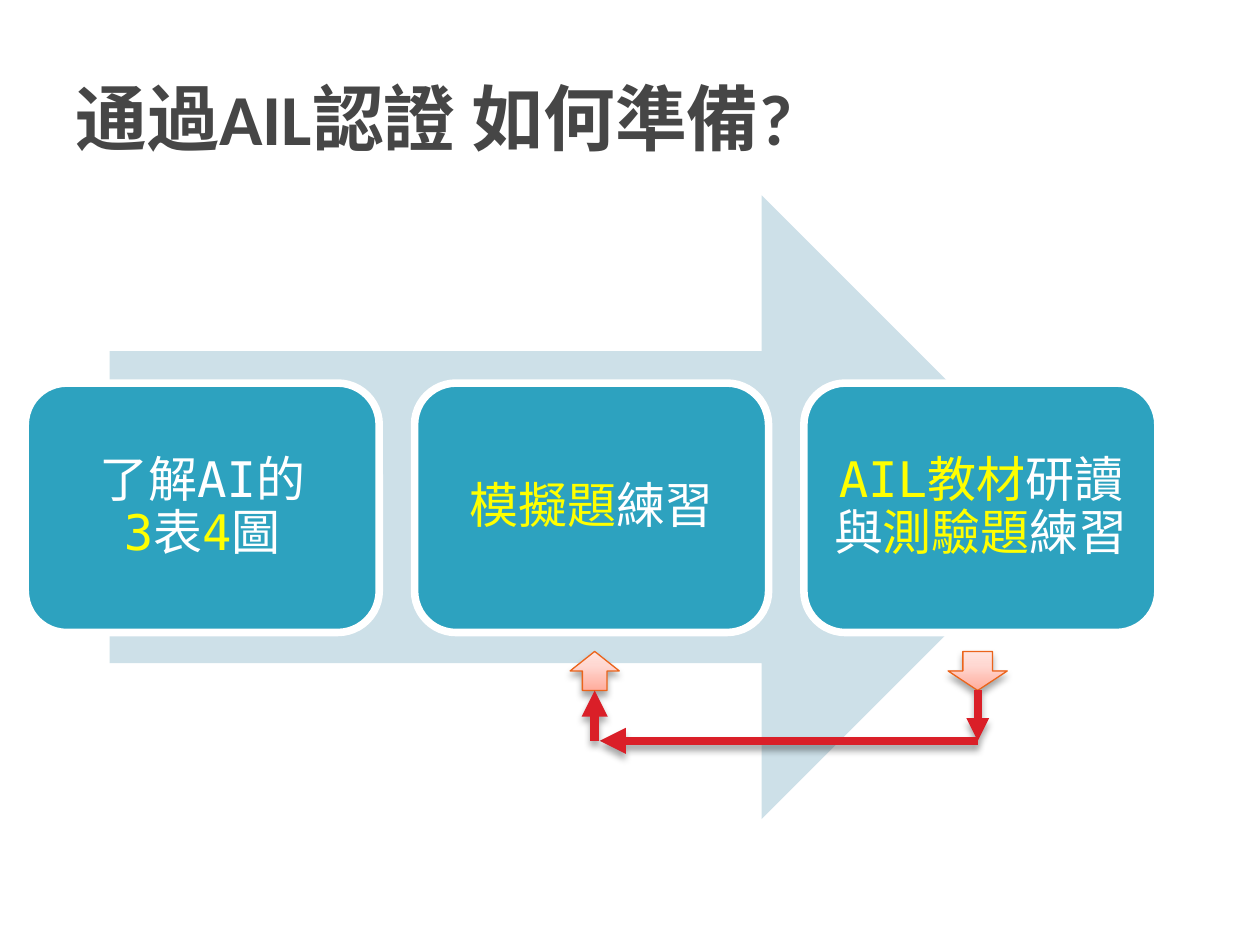
import pptx
import pptx.dml.color
import pptx.enum.shapes
import pptx.enum.text
import pptx.oxml
import pptx.oxml.ns
import pptx.util

Inches, Pt = pptx.util.Inches, pptx.util.Pt
RGB = pptx.dml.color.RGBColor
KIND = pptx.enum.shapes.MSO_SHAPE
ALIGN = pptx.enum.text.PP_ALIGN
MIDDLE = pptx.enum.text.MSO_ANCHOR.MIDDLE

WHITE = RGB(0xFF, 0xFF, 0xFF)
YELLOW = RGB(0xFF, 0xFF, 0x00)
TEAL = RGB(0x2D, 0xA2, 0xBF)
PALE = RGB(0xCD, 0xE0, 0xE8)
GRAY = RGB(0x46, 0x46, 0x46)
ORANGE = RGB(0xEB, 0x64, 0x1B)
RED = RGB(0xDA, 0x1F, 0x28)
PINKS = [(0, RGB(0xFF, 0xAC, 0x9C)), (65, RGB(0xFF, 0xD8, 0xD2)),
         (100, RGB(0xFF, 0xE4, 0xDF))]

TITLE = "通過AIL認證 如何準備?"
BREAK = None
STEPS = [
    [("了解AI的", WHITE), BREAK, ("3", YELLOW), ("表", WHITE),
     ("4", YELLOW), ("圖", WHITE)],
    [("模擬題", YELLOW), ("練習", WHITE)],
    [("AIL教材", YELLOW), ("研讀與", WHITE), ("測驗題", YELLOW),
     ("練習", WHITE)],
]
LEFT, TOP, WIDE, HIGH, PITCH = 0.2, 3.04, 2.81, 1.98, 3.09

# Feedback loop: from the last step back to the middle one
START, END = 7.76, 4.72
TIP, JOIN, BASE = 5.17, 5.48, 5.88
HEADS = [(KIND.DOWN_ARROW, START, 0.47), (KIND.UP_ARROW, END, 0.39)]
LINES = [
    ((START, JOIN), (START, BASE), 4.33),
    ((START, BASE), (END + 0.04, BASE), 5),
    ((END, BASE), (END, JOIN), 5),
]

NS = pptx.oxml.ns.nsdecls("a")
SHADOW = (f'<a:effectLst {NS}><a:outerShdw blurRad="{Pt(4)}" dist="{Pt(3)}" '
          'dir="5400000" rotWithShape="0"><a:srgbClr val="000000">'
          '<a:alpha val="35000"/></a:srgbClr></a:outerShdw></a:effectLst>')
STOPS = "".join(f'<a:gs pos="{pos * 1000}"><a:srgbClr val="{color}"/></a:gs>'
                for pos, color in PINKS)
BLEND = (f'<a:gradFill {NS} rotWithShape="1"><a:gsLst>{STOPS}</a:gsLst>'
         '<a:lin ang="16200000" scaled="0"/></a:gradFill>')


def add_run(para, text, font, size, color, bold=False):
    run = para.add_run()
    run.text = text
    run.font.name, run.font.size, run.font.bold = font, Pt(size), bold
    run.font.color.rgb = color


def add_shape(slide, kind, box, fill, line=None, width=0):
    shape = slide.shapes.add_shape(kind, *map(Inches, box))
    shape.shadow.inherit = False
    shape.fill.solid()
    shape.fill.fore_color.rgb = fill
    if line is None:
        shape.line.fill.background()
    else:
        shape.line.color.rgb = line
        shape.line.width = Pt(width)
    return shape


def add_step(slide, index, parts):
    box = (LEFT + index * PITCH, TOP, WIDE, HIGH)
    shape = add_shape(slide, KIND.ROUNDED_RECTANGLE, box, TEAL, WHITE, 4.33)
    frame = shape.text_frame
    frame.word_wrap, frame.vertical_anchor = True, MIDDLE
    frame.margin_left = frame.margin_right = Inches(0.12)
    frame.margin_top = frame.margin_bottom = Inches(0.12)
    para = frame.paragraphs[0]
    para.alignment, para.line_spacing = ALIGN.CENTER, 0.9
    for part in parts:
        if part is BREAK:
            para.add_line_break()
        else:
            add_run(para, part[0], "DejaVu Sans Mono", 28, part[1])


def add_head(slide, kind, mid, wide):
    box = (mid - wide / 2, TIP, wide, JOIN - TIP)
    shape = add_shape(slide, kind, box, PINKS[0][1], ORANGE, 0.75)
    props = shape.element.spPr
    solid = props.find(pptx.oxml.ns.qn("a:solidFill"))
    props.replace(solid, pptx.oxml.parse_xml(BLEND))
    empty = props.find(pptx.oxml.ns.qn("a:effectLst"))
    props.replace(empty, pptx.oxml.parse_xml(SHADOW))


def add_line(slide, start, end, width):
    kind = pptx.enum.shapes.MSO_CONNECTOR.STRAIGHT
    line = slide.shapes.add_connector(kind, *map(Inches, start + end))
    line.line.color.rgb = RED
    line.line.width = Pt(width)
    tail = pptx.oxml.parse_xml(f'<a:tailEnd {NS} type="triangle"/>')
    line.line._get_or_add_ln().append(tail)
    line._element.spPr.append(pptx.oxml.parse_xml(SHADOW))


def main():
    deck = pptx.Presentation()
    deck.slide_width, deck.slide_height = Inches(10), Inches(7.5)
    slide = deck.slides.add_slide(deck.slide_layouts[6])

    add_shape(slide, KIND.RIGHT_ARROW, (0.87, 1.55, 7.65, 4.95), PALE)
    for index, parts in enumerate(STEPS):
        add_step(slide, index, parts)

    title = slide.shapes.add_textbox(*map(Inches, (0.5, 0.3, 9, 1.25)))
    frame = title.text_frame
    frame.word_wrap, frame.vertical_anchor = True, MIDDLE
    add_run(frame.paragraphs[0], TITLE, "Calibri", 41, GRAY, True)

    for head in HEADS:
        add_head(slide, *head)
    for line in LINES:
        add_line(slide, *line)
    deck.save("out.pptx")


if __name__ == "__main__":
    main()
